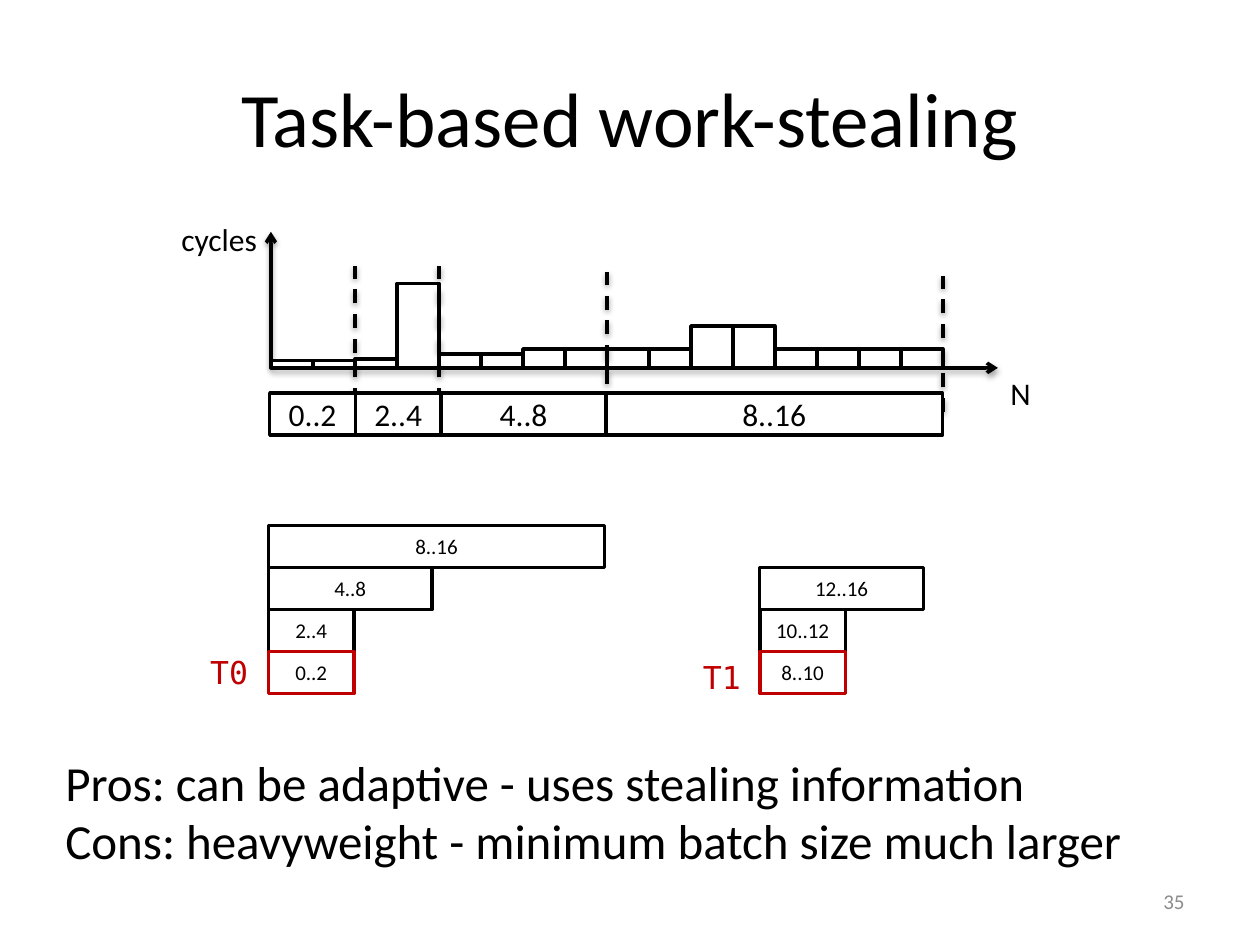
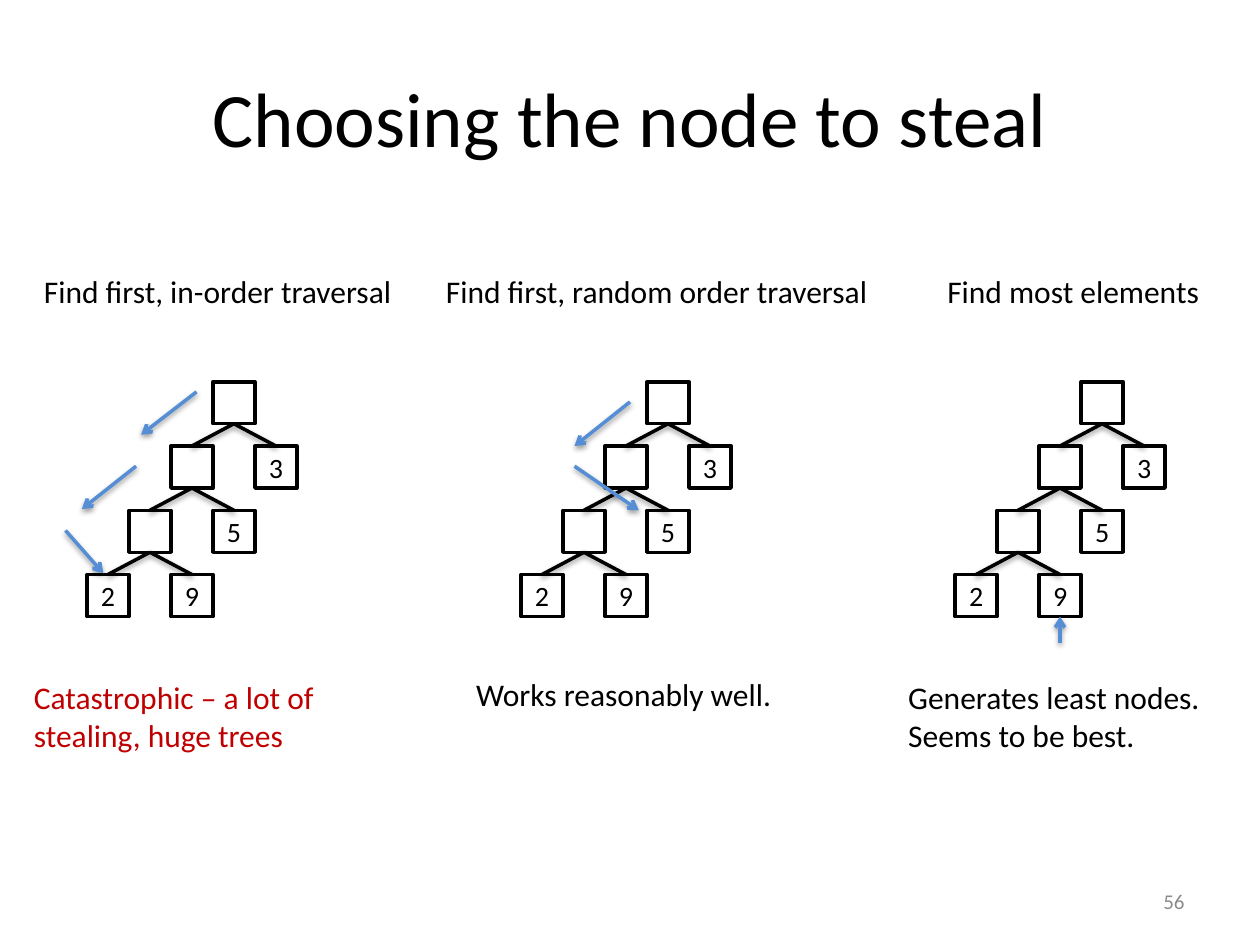
import pptx
import pptx.util
import pptx.dml.color
import pptx.enum.dml
import pptx.enum.shapes
import pptx.enum.text
from itertools import accumulate
from lxml import etree

Inches, Pt = pptx.util.Inches, pptx.util.Pt
ALIGN, ANCHOR = pptx.enum.text.PP_ALIGN, pptx.enum.text.MSO_ANCHOR
W, H = 10, 7.5
CELL = 1 / 3  # side of one grid square

THEME = {
    "font": "Calibri", "mono": "DejaVu Sans Mono",
    "ink": "000000", "paper": "FFFFFF", "red": "C00000", "blue": "558ED5", "grey": "8C8C8C",
    "title": 44, "body": 28, "label": 18, "node": 16, "small": 12, "line": 2,
}

# Content: work-stealing slide
CYCLES = [0.06, 0.06, 0.07, 0.67, 0.11, 0.11] + [0.15] * 4 + [CELL] * 2 + [0.15] * 4
AXIS_X, AXIS_Y = 2.15, 2.92
DIVIDERS = [(2, 2.11), (4, 2.11), (8, 2.16), (16, 2.19)]  # slot, top
DIVIDER_LENGTH = 1.08
TASKS = [("0..2", 0.68), ("2..4", 0.68), ("4..8", 1.31), ("8..16", 2.67)]
TASK_X, TASK_Y = 2.14, 3.12
STACK_BASE = 5.17
STACKS = [  # left, thread, thread label place, tasks from the bottom up
    (2.13, "T0", (1.57, 5.13), [("0..2", 0.68), ("2..4", 0.68), ("4..8", 1.3), ("8..16", 2.67)]),
    (6.03, "T1", (5.48, 5.17), [("8..10", 0.68), ("10..12", 0.68), ("12..16", 1.3)]),
]
VERDICT = ["Pros: can be adaptive - uses stealing information",
           "Cons: heavyweight - minimum batch size much larger"]

# Content: tree slide
NODES = [(0, 0, ""), (-1, 1, ""), (-2, 2, ""), (-3, 3, "2"),  # column, row, value
         (-1, 3, "9"), (0, 2, "5"), (1, 1, "3")]
EDGES = [(0, 1), (1, 2), (2, 3), (2, 4), (1, 5), (0, 6)]
ROOT_X, ROOT_Y, TREE_PITCH, ROW_PITCH = 1.69, 3.03, 3.445, 0.51
STRATEGIES = [
    {"head": ("Find first, in-order traversal", 0.25, 3.19),
     "note": (["Catastrophic – a lot of stealing, huge trees"], 0.17, 5.33, 2.92, "red"),
     "steps": [(1.56, 3.11, 1.12, 3.45), (1.08, 3.7, 0.65, 4.04), (0.52, 4.21, 0.82, 4.55)]},
    {"head": ("Find first, random order traversal", 3.44, 3.65),
     "note": (["Works reasonably well."], 3.68, 5.31, 2.92, "ink"),
     "steps": [(5, 3.19, 4.56, 3.54), (4.56, 3.7, 5.07, 4.05)]},
    {"head": ("Find most elements", 7.42, 2.33),
     "note": (["Generates least nodes.", "Seems to be best."], 7.11, 5.33, 2.72, "ink"),
     "steps": [], "picked": 4},
]


def rgb(name):
    return pptx.dml.color.RGBColor.from_string(THEME[name])


def write(tf, lines, size, color="ink", font="font", align=ALIGN.LEFT):
    for i, line in enumerate(lines):
        p = tf.paragraphs[0] if i == 0 else tf.add_paragraph()
        p.alignment = align
        r = p.add_run()
        r.text = line
        for key, value in {"size": Pt(THEME[size]), "name": THEME[font]}.items():
            setattr(r.font, key, value)
        r.font.color.rgb = rgb(color)


def text(s, lines, x, y, w, h, size, anchor=ANCHOR.TOP, wrap=True, **style):
    tf = s.shapes.add_textbox(*map(Inches, (x, y, w, h))).text_frame
    for key, value in {"word_wrap": wrap, "vertical_anchor": anchor}.items():
        setattr(tf, key, value)
    write(tf, lines, size, **style)


def box(s, x, y, w, h, label="", size="small", outline="ink"):
    sp = s.shapes.add_shape(pptx.enum.shapes.MSO_SHAPE.RECTANGLE, *map(Inches, (x, y, w, h)))
    sp.shadow.inherit = False
    sp.fill.solid()
    sp.fill.fore_color.rgb = rgb("paper")
    sp.line.color.rgb = rgb(outline)
    sp.line.width = Pt(THEME["line"])
    if label:
        sp.text_frame.vertical_anchor = ANCHOR.MIDDLE
        write(sp.text_frame, [label], size, align=ALIGN.CENTER)
    return sp


def line(s, x1, y1, x2, y2, color="ink", arrow=False, dashed=False):
    c = s.shapes.add_connector(pptx.enum.shapes.MSO_CONNECTOR.STRAIGHT,
                               *map(Inches, (x1, y1, x2, y2)))
    c.line.color.rgb = rgb(color)
    c.line.width = Pt(THEME["line"])
    if dashed:
        c.line.dash_style = pptx.enum.dml.MSO_LINE.DASH
    ns = "{http://schemas.openxmlformats.org/drawingml/2006/main}"
    if arrow:
        etree.SubElement(c.line._get_or_add_ln(), ns + "tailEnd", type="arrow")
    # Soft shadow below the line
    effects = etree.SubElement(c._element.spPr, ns + "effectLst")
    shadow = etree.SubElement(effects, ns + "outerShdw", blurRad=str(Pt(3.1)), dist=str(Pt(1.6)),
                              dir="5400000", rotWithShape="0")
    shade = etree.SubElement(shadow, ns + "srgbClr", val=THEME["ink"])
    etree.SubElement(shade, ns + "alpha", val="38000")
    return c


def new_slide(prs, title, number):
    s = prs.slides.add_slide(prs.slide_layouts[6])
    text(s, [title], 0.05 * W, 0.04 * H, 0.9 * W, 1.25, "title", ANCHOR.MIDDLE, align=ALIGN.CENTER)
    text(s, [str(number)], 7.17, 6.95, 2.33, 0.4, "small", ANCHOR.MIDDLE,
         color="grey", align=ALIGN.RIGHT)
    return s


def work_stealing(prs):
    s = new_slide(prs, "Task-based work-stealing", 35)
    text(s, VERDICT, 0.42, 5.92, 9.25, 1.04, "body")

    # Cycle histogram
    line(s, AXIS_X, AXIS_Y, 7.92, AXIS_Y, arrow=True)
    line(s, AXIS_X, AXIS_Y, AXIS_X, 1.84, arrow=True)
    text(s, ["N"], 7.92, AXIS_Y, 0.36, 0.4, "label", wrap=False)
    text(s, ["cycles"], 1.34, 1.7, 0.81, 0.4, "label", wrap=False)
    for slot, cycles in enumerate(CYCLES):
        box(s, AXIS_X + slot * CELL, AXIS_Y - cycles, CELL, cycles)
    for slot, top in DIVIDERS:
        x = AXIS_X + slot * CELL
        line(s, x, top + DIVIDER_LENGTH, x, top, dashed=True)

    # Task ranges under the axis
    ends = accumulate(width for _, width in TASKS)
    for (label, width), end in zip(TASKS, ends):
        box(s, TASK_X + end - width, TASK_Y, width, CELL, label, "label")

    # Task stack of each thread, with the running task in red
    for left, thread, (x, y), tasks in STACKS:
        text(s, [thread], x, y, 0.58, 0.4, "label", color="red", font="mono")
        for level, (label, width) in reversed(list(enumerate(tasks))):
            box(s, left, STACK_BASE - level * CELL, width, CELL, label,
                outline="ink" if level else "red")


def node_to_steal(prs):
    s = new_slide(prs, "Choosing the node to steal", 56)
    for i, strategy in enumerate(STRATEGIES):
        head, x, w = strategy["head"]
        text(s, [head], x, 2.11, w, 0.4, "label")

        # Tree
        root = ROOT_X + i * TREE_PITCH
        nodes = [box(s, root + col * CELL, ROOT_Y + row * ROW_PITCH, CELL, CELL, value, "node")
                 for col, row, value in NODES]
        for parent, child in EDGES:
            c = line(s, 0, 0, 1, 1)
            c.begin_connect(nodes[parent], 2)
            c.end_connect(nodes[child], 0)

        # Search path and verdict
        for step in strategy["steps"]:
            line(s, *step, color="blue", arrow=True)
        if "picked" in strategy:
            col, row, _ = NODES[strategy["picked"]]
            x, y = root + (col + 0.5) * CELL, ROOT_Y + row * ROW_PITCH + CELL
            c = line(s, x, y + 0.21, x, y, color="blue", arrow=True)
            c.end_connect(nodes[strategy["picked"]], 2)
        lines, x, y, w, color = strategy["note"]
        text(s, lines, x, y, w, 0.71, "label", color=color)


def main():
    prs = pptx.Presentation()
    prs.slide_width, prs.slide_height = Inches(W), Inches(H)
    work_stealing(prs)
    node_to_steal(prs)
    prs.save("out.pptx")


if __name__ == "__main__":
    main()
